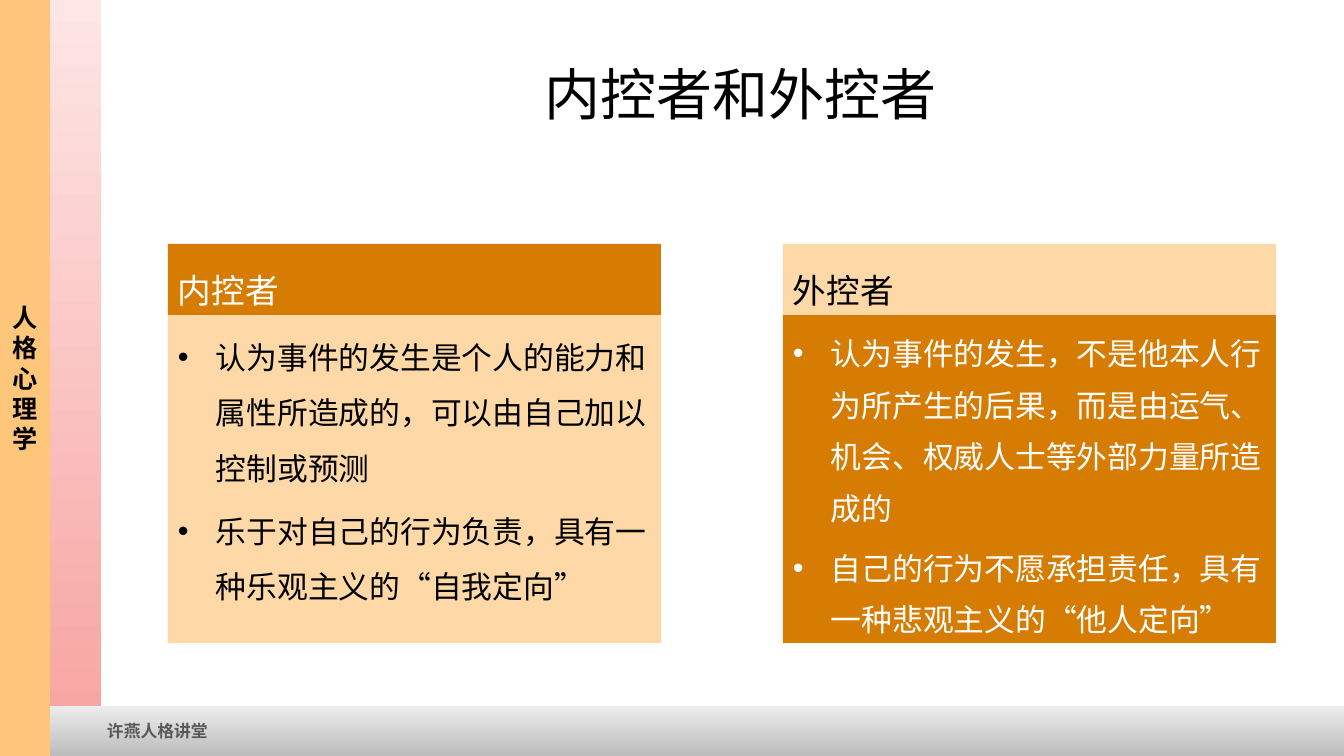
from lxml.etree import SubElement
from pptx import Presentation
from pptx.dml.color import RGBColor
from pptx.enum.shapes import MSO_SHAPE
from pptx.enum.text import MSO_ANCHOR, PP_ALIGN
from pptx.oxml.ns import qn
from pptx.util import Emu, Pt

WIDTH, HEIGHT = 1344, 756
RAIL = 50  # width of each left band and height of the footer
FONT = "Noto Sans CJK SC"
ORANGE, PEACH, AMBER = "D67C02", "FED9A7", "FEC67B"
BLACK, WHITE, GREY = "000000", "FFFFFF", "595959"


def px(length):
    return Emu(round(length * 914400 / 100.8))


def color(value):
    return RGBColor.from_string(value)


def set_font(paragraph, size, text_color, bold=False):
    font = paragraph.font
    font.name, font.size, font.bold = FONT, Pt(size), bold
    font.color.rgb = color(text_color)
    east_asian = SubElement(font._element, qn("a:ea"))
    east_asian.set("typeface", FONT)


def add_bullet(paragraph, bullet_color, indent):
    properties = paragraph._p.get_or_add_pPr()
    properties.set("marL", str(px(indent)))
    properties.set("indent", str(-px(indent)))
    fill = SubElement(SubElement(properties, qn("a:buClr")), qn("a:srgbClr"))
    fill.set("val", bullet_color)
    SubElement(properties, qn("a:buFont")).set("typeface", "Arial")
    SubElement(properties, qn("a:buChar")).set("char", "•")


def add_box(slide, left, top, width, height, *fill_colors):
    """Rectangle with a solid fill, or a downward gradient for two colours."""
    box = slide.shapes.add_shape(
        MSO_SHAPE.RECTANGLE, px(left), px(top), px(width), px(height))
    box.shadow.inherit = False
    box.line.fill.background()
    if len(fill_colors) == 1:
        box.fill.solid()
        box.fill.fore_color.rgb = color(fill_colors[0])
    else:
        box.fill.gradient()
        box.fill.gradient_angle = 270
        for stop, stop_color in zip(box.fill.gradient_stops, fill_colors):
            stop.color.rgb = color(stop_color)
    return box


def write_line(box, text, size, text_color, anchor, align=PP_ALIGN.LEFT, bold=False):
    frame = box.text_frame
    frame.word_wrap = True
    frame.vertical_anchor = anchor
    paragraph = frame.paragraphs[0]
    paragraph.text = text
    paragraph.alignment = align
    set_font(paragraph, size, text_color, bold)


def add_frame(slide):
    # Pink band, footer and course name
    add_box(slide, RAIL, 0, RAIL + 1, HEIGHT, "FDE6E5", "F7A29F")
    footer = add_box(slide, 0, HEIGHT - RAIL, WIDTH, RAIL, "EDEDED", "BCBCBC")
    footer.text_frame.margin_left = px(107)
    write_line(footer, "许燕人格讲堂", 12, GREY, MSO_ANCHOR.MIDDLE, bold=True)
    course = add_box(slide, 0, 0, RAIL, HEIGHT, AMBER)
    write_line(course, "人格心理学", 18, BLACK, MSO_ANCHOR.MIDDLE,
               PP_ALIGN.CENTER, bold=True)


def place_title(slide, left, top, width, height, text):
    title = slide.shapes.title
    title.left, title.top = px(left), px(top)
    title.width, title.height = px(width), px(height)
    write_line(title, text, 40, BLACK, MSO_ANCHOR.MIDDLE, PP_ALIGN.CENTER)


def add_panel(slide, left, top, width, height, panel):
    heading, head_fill, head_color, body_fill, body_color, spacing, points = panel
    head_height = 71
    header = add_box(slide, left, top, width, head_height, head_fill)
    write_line(header, heading, 24, head_color, MSO_ANCHOR.BOTTOM)
    body = add_box(slide, left, top + head_height, width,
                   height - head_height, body_fill)
    frame = body.text_frame
    frame.word_wrap = True
    frame.vertical_anchor = MSO_ANCHOR.TOP
    for index, point in enumerate(points):
        paragraph = frame.add_paragraph() if index else frame.paragraphs[0]
        paragraph.text = point
        paragraph.alignment = PP_ALIGN.LEFT
        paragraph.line_spacing = spacing
        if index:
            paragraph.space_before = Pt(5.5)
        add_bullet(paragraph, body_color, 38)
        set_font(paragraph, 22, body_color)


PANELS = [
    ("内控者", ORANGE, WHITE, PEACH, BLACK, 1.5,
     ["认为事件的发生是个人的能力和属性所造成的，可以由自己加以控制或预测",
      "乐于对自己的行为负责，具有一种乐观主义的“自我定向”"]),
    ("外控者", PEACH, BLACK, ORANGE, WHITE, 1.4,
     ["认为事件的发生，不是他本人行为所产生的后果，而是由运气、机会、权威人士等外部力量所造成的",
      "自己的行为不愿承担责任，具有一种悲观主义的“他人定向”"]),
]


def main():
    presentation = Presentation()
    presentation.slide_width, presentation.slide_height = px(WIDTH), px(HEIGHT)
    slide = presentation.slides.add_slide(presentation.slide_layouts[5])
    add_frame(slide)
    place_title(slide, 204, 30, 1073, 126, "内控者和外控者")
    for index, panel in enumerate(PANELS):
        add_panel(slide, 168 + index * 615, 244, 493, 399, panel)
    presentation.save("out.pptx")


if __name__ == "__main__":
    main()
